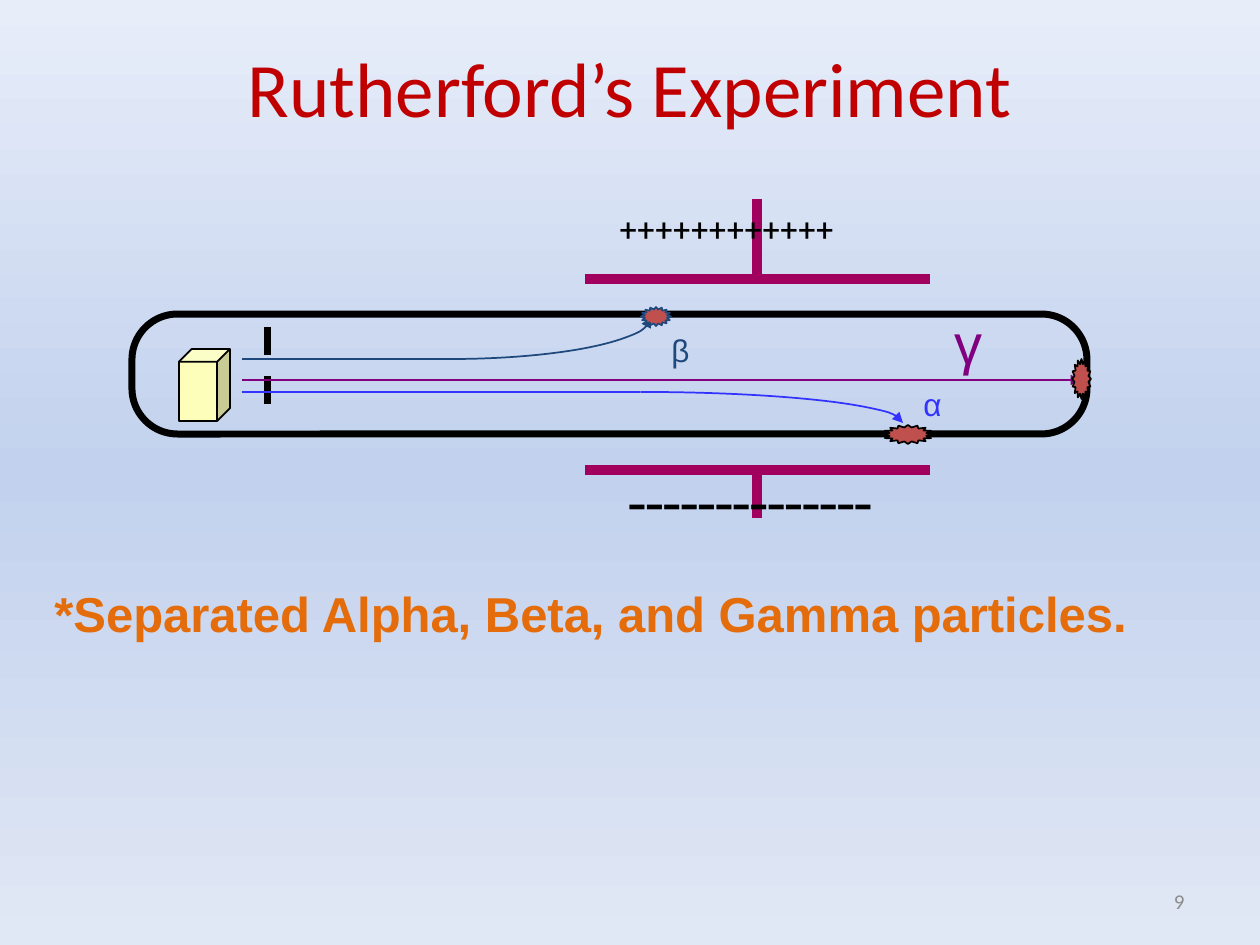
from copy import deepcopy
from dataclasses import dataclass

from pptx import Presentation
from pptx.dml.color import RGBColor
from pptx.enum.dml import MSO_LINE
from pptx.enum.shapes import MSO_CONNECTOR, MSO_SHAPE
from pptx.enum.text import MSO_ANCHOR, MSO_AUTO_SIZE, PP_ALIGN
from pptx.oxml.ns import qn
from pptx.util import Emu, Pt
from lxml.etree import SubElement

EMU_PER_PX = 914400 / 126


@dataclass(frozen=True)
class Theme:
    background: tuple = ("E7EDF9", "C2D1ED", "E1E8F5")
    title: str = "C00000"
    ink: str = "000000"
    plate: str = "A2005E"
    source: str = "FCFEB9"
    impact: str = "C0504D"
    alpha: str = "3333FF"
    beta: str = "1F497D"
    gamma: str = "800080"
    note: str = "E46C0A"
    number: str = "8C8C8C"
    title_size: int = 44
    minus_size: int = 36
    gamma_size: int = 32
    note_size: int = 28
    label_size: int = 18
    number_size: int = 12


T = Theme()


def px(*values):
    return [Emu(round(v * EMU_PER_PX)) for v in values]


def rgb(color):
    return RGBColor.from_string(color)


def set_background(s):
    fill = s.background.fill
    fill.gradient()
    fill.gradient_angle = 270
    stops = s.element.find(".//" + qn("a:gsLst"))
    stops.insert(1, deepcopy(stops[0]))
    for stop, position, color in zip(fill.gradient_stops, (0, 0.5, 1), T.background):
        stop.position = position
        stop.color.rgb = rgb(color)


def write(tf, text, size, color, font="Arial", bold=False, align=PP_ALIGN.LEFT):
    p = tf.paragraphs[0]
    p.alignment = align
    r = p.add_run()
    r.text = text
    r.font.name = font
    r.font.size = Pt(size)
    r.font.bold = bold
    r.font.color.rgb = rgb(color)


def add_label(shapes, box, text, size, color, **fmt):
    tf = shapes.add_textbox(*px(*box)).text_frame
    tf.word_wrap = False
    tf.auto_size = MSO_AUTO_SIZE.SHAPE_TO_FIT_TEXT
    write(tf, text, size, color, **fmt)


def set_line(shape, color, width, arrow=None):
    """Style an outline; arrow is headEnd (start) or tailEnd (finish)."""
    shape.line.color.rgb = rgb(color)
    shape.line.width = Pt(width)
    if arrow:
        SubElement(shape.line._get_or_add_ln(), qn("a:" + arrow), type="triangle")


def add_line(shapes, start, end, color, width=1, arrow=None):
    line = shapes.add_connector(MSO_CONNECTOR.STRAIGHT, *px(*start, *end))
    set_line(line, color, width, arrow)
    SubElement(line._element.spPr, qn("a:effectLst"))
    return line


def add_shape(shapes, kind, box, line, width=1, fill=None, adj=(), arrow=None):
    sp = shapes.add_shape(kind, *px(*box))
    for i, value in enumerate(adj):
        sp.adjustments[i] = value
    if fill:
        sp.fill.solid()
        sp.fill.fore_color.rgb = rgb(fill)
    else:
        sp.fill.background()
    set_line(sp, line, width, arrow)
    sp.shadow.inherit = False


def add_beam(s, y, end_x, color, impact, label, label_box, size=T.label_size,
             impact_line=T.ink, line_arrow=None, curve=None):
    """One group: straight path, optional quarter-ellipse bend, impact and label."""
    shapes = s.shapes.add_group_shape().shapes
    add_line(shapes, (242, y), (end_x, y), color, arrow=line_arrow)
    if curve:
        box, angles, arrow = curve
        add_shape(shapes, MSO_SHAPE.ARC, box, color, adj=angles, arrow=arrow)
    add_shape(shapes, MSO_SHAPE.STAR_16_POINT, impact, impact_line, fill=T.impact)
    add_label(shapes, label_box, label, size, color)


def add_plate(shapes, y, stem_end):
    add_line(shapes, (585, y), (930, y), T.plate, 6)
    add_line(shapes, (757, y), (757, stem_end), T.plate, 6)


def main():
    prs = Presentation()
    prs.slide_width, prs.slide_height = px(1260, 945)
    s = prs.slides.add_slide(prs.slide_layouts[5])
    shapes = s.shapes
    set_background(s)

    # Title and slide number
    title = shapes.title
    title.left, title.top, title.width, title.height = px(63, 38, 1134, 98)
    title.text_frame.vertical_anchor = MSO_ANCHOR.MIDDLE
    write(title.text_frame, "Rutherford’s Experiment", T.title_size, T.title,
          font="Calibri", align=PP_ALIGN.CENTER)
    tf = shapes.add_textbox(*px(903, 876, 294, 50)).text_frame
    tf.word_wrap = True
    tf.vertical_anchor = MSO_ANCHOR.MIDDLE
    write(tf, "9", T.number_size, T.number, font="Calibri", align=PP_ALIGN.RIGHT)

    # Tube and charged plates
    add_shape(shapes, MSO_SHAPE.ROUNDED_RECTANGLE, (132, 314, 955, 120), T.ink, 4,
              adj=(0.38,))
    add_plate(shapes, 279, 199)
    add_plate(shapes, 470, 518)
    add_label(shapes, (607, 204, 309, 63), "+" * 12, T.label_size, T.ink, font="Roboto")
    add_label(shapes, (616, 457, 319, 88), "-" * 14, T.minus_size, T.ink, font="Roboto")

    # Slit and radioactive source
    slit = add_line(shapes, (268, 327), (268, 422), T.ink, 4)
    slit.line.dash_style = MSO_LINE.DASH
    add_shape(shapes, MSO_SHAPE.CUBE, (179, 349, 51, 72), T.ink, fill=T.source, adj=(0.25,))

    # Beams; arc angles are in units of 100000/60000 degrees
    add_beam(s, 392, 640, T.alpha, (883, 425, 50, 19), "α", (911, 379, 52, 63),
             curve=((378, 392, 525, 62), (162, 0), "tailEnd"))
    add_beam(s, 380, 1081, T.gamma, (1072, 359, 19, 40), "γ", (942, 302, 48, 79),
             size=T.gamma_size, line_arrow="tailEnd")
    add_beam(s, 359, 451, T.beta, (641, 307, 30, 19), "β", (659, 325, 48, 63),
             impact_line=T.beta, curve=((251, 275, 400, 84), (0, 54), "headEnd"))

    # Conclusion
    add_label(shapes, (42, 577, 1111, 72), "*Separated Alpha, Beta, and Gamma particles.",
              T.note_size, T.note, bold=True)

    prs.save("out.pptx")


if __name__ == "__main__":
    main()
